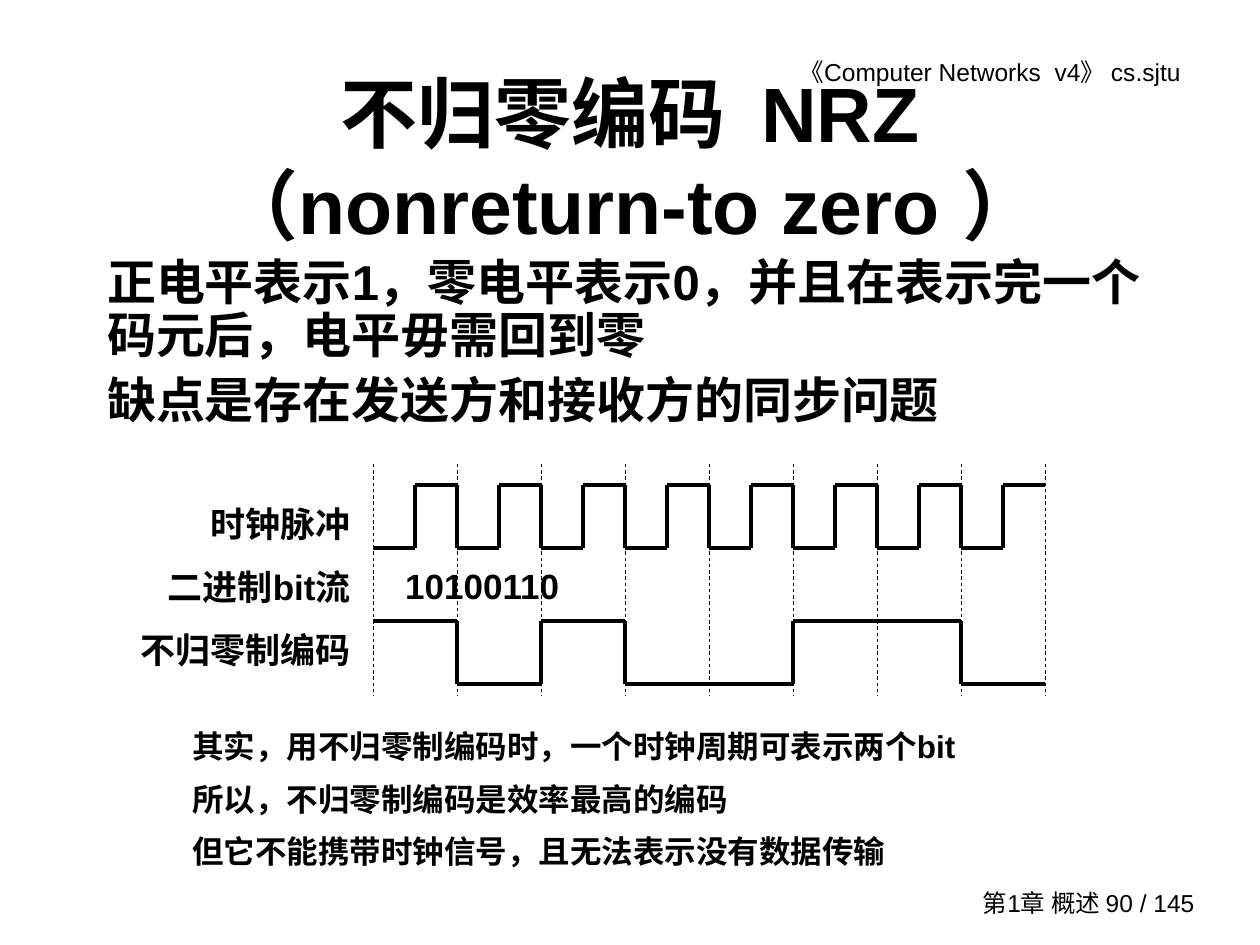
"""Build the slide on NRZ encoding with its timing diagram."""
from itertools import groupby

from lxml.etree import SubElement
from pptx import Presentation
from pptx.dml.color import RGBColor
from pptx.enum.dml import MSO_LINE_DASH_STYLE as DASH
from pptx.enum.shapes import MSO_CONNECTOR
from pptx.enum.text import MSO_ANCHOR as ANCHOR, PP_ALIGN as ALIGN
from pptx.oxml.ns import qn
from pptx.util import Cm, Pt

BLACK = "000000"

deck = Presentation()
deck.slide_width, deck.slide_height = Cm(25.4), Cm(19.05)
slide = deck.slides.add_slide(deck.slide_layouts[6])


def write(box, lines, size, bold=True, align=ALIGN.LEFT, anchor=ANCHOR.TOP,
          leading=1.0, gap=0):
    frame = slide.shapes.add_textbox(*map(Cm, box)).text_frame
    frame.word_wrap = True
    frame.vertical_anchor = anchor
    frame.text = "\n".join(lines)
    for index, paragraph in enumerate(frame.paragraphs):
        paragraph.alignment = align
        paragraph.line_spacing = leading
        if index and gap:
            paragraph.space_before = Pt(gap)
        paragraph.font.name = "Arial"
        paragraph.font.size = Pt(size)
        paragraph.font.bold = bold
        paragraph.font.color.rgb = RGBColor.from_string(BLACK)


def rule(x1, y1, x2, y2, weight=2, dash=None):
    line = slide.shapes.add_connector(MSO_CONNECTOR.STRAIGHT, Cm(x1), Cm(y1), Cm(x2), Cm(y2))
    line.line.color.rgb = RGBColor.from_string(BLACK)
    line.line.width = Pt(weight)
    if dash:
        line.line.dash_style = dash
    SubElement(line._element.spPr, qn("a:effectLst"))


write((13.59, 1.02, 10.46, 0.86), ["《Computer Networks  v4》 cs.sjtu"], 14,
      bold=False, align=ALIGN.RIGHT)
write((19.05, 17.78, 5.28, 0.84), ["第1章 概述 90 / 145"], 14,
      bold=False, align=ALIGN.RIGHT, anchor=ANCHOR.MIDDLE)
write((1.91, 1.27, 21.59, 3.81), ["不归零编码  NRZ\v（nonreturn-to zero ）"], 44,
      align=ALIGN.CENTER, anchor=ANCHOR.MIDDLE)
write((1.91, 5.08, 22.1, 3.86),
      ["正电平表示1，零电平表示0，并且在表示完一个码元后，电平毋需回到零",
       "缺点是存在发送方和接收方的同步问题"], 28, leading=0.9, gap=7)

bits = "10100110"
diagram_left, diagram_width, swing = 7.52, 13.55, 1.27
period = diagram_width / len(bits)
clock = "01" * len(bits)

for levels, step, high in ((clock, period / 2, 9.78), (bits, period, 12.52)):
    x, previous = diagram_left, None
    for level, run in groupby(levels):
        y = high if level == "1" else high + swing
        if previous is not None:
            rule(x, high, x, high + swing)
        end = x + step * len(list(run))
        rule(x, y, end, y)
        x, previous = end, level

write((7.92, 11.25, 12.7, 1.12), [bits], 20)

for tick in range(len(bits) + 1):
    x = diagram_left + tick * period
    rule(x, 9.35, x, 14.02, weight=0.5, dash=DASH.DASH)

write((2.44, 9.58, 4.88, 4.65), ["时钟脉冲", "二进制bit流", "不归零制编码"], 20,
      align=ALIGN.RIGHT, leading=1.5)
write((3.63, 14.22, 16.92, 3.45),
      ["其实，用不归零制编码时，一个时钟周期可表示两个bit",
       "所以，不归零制编码是效率最高的编码",
       "但它不能携带时钟信号，且无法表示没有数据传输"], 18, leading=1.4)

deck.save("out.pptx")
